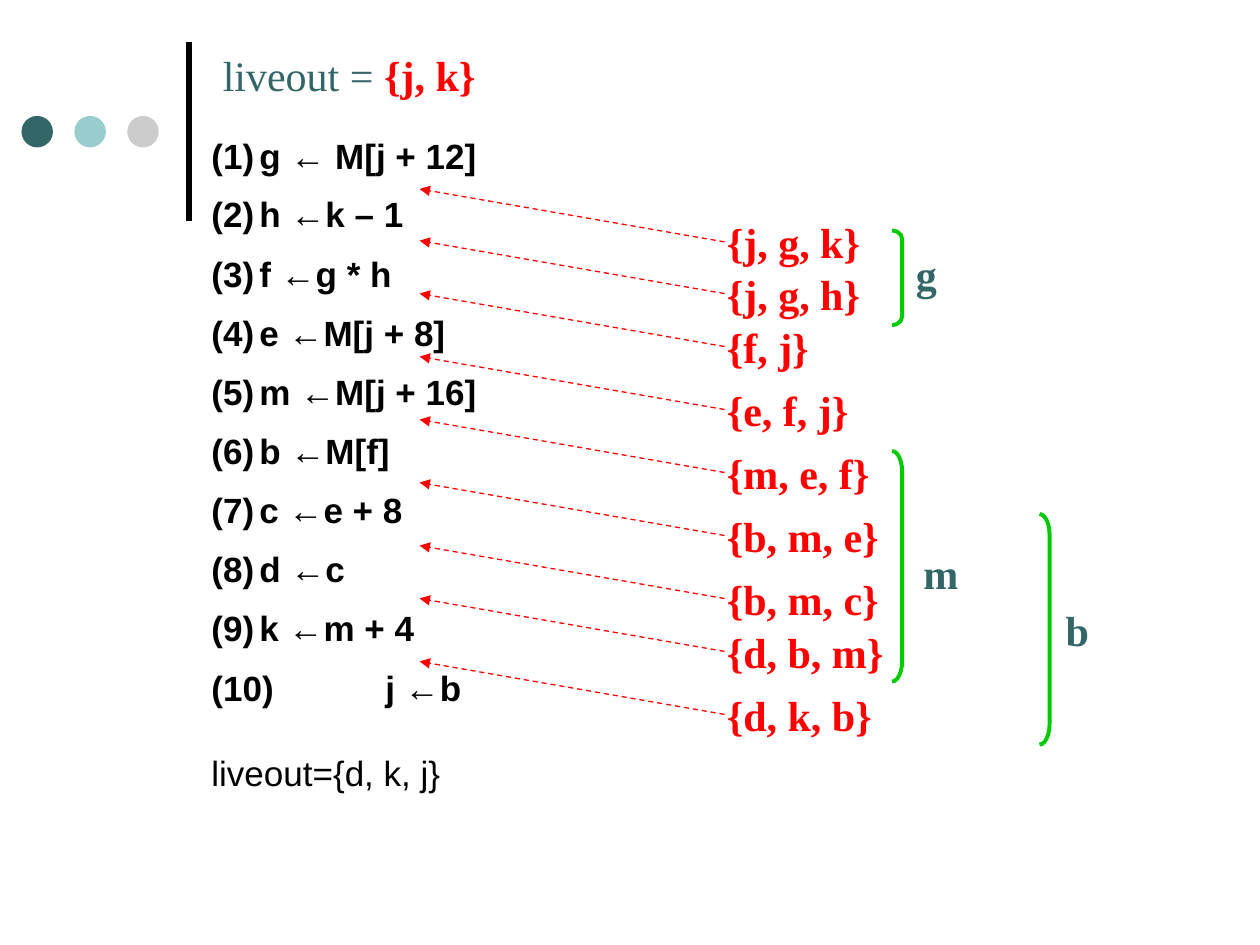
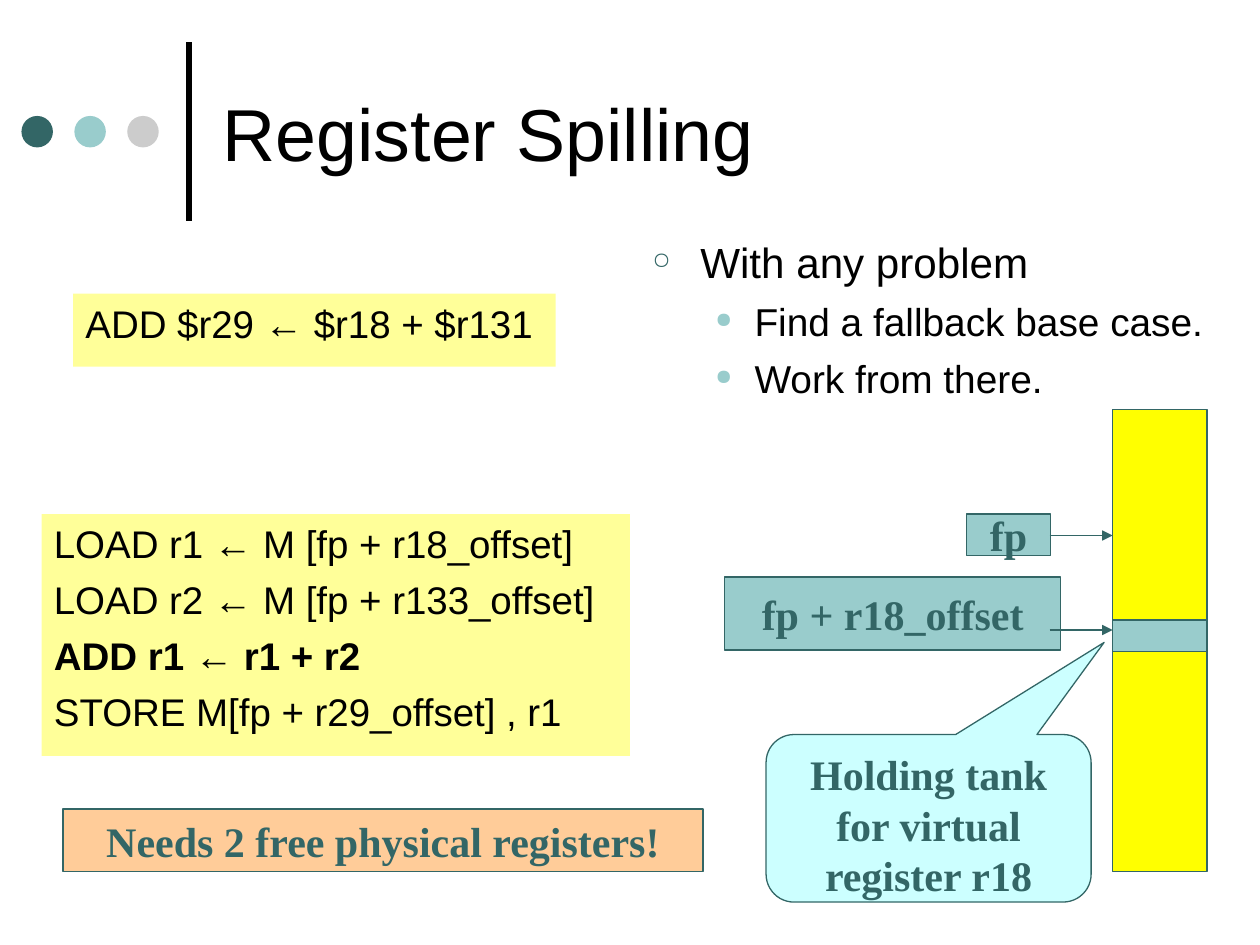
from lxml import etree
from pptx import Presentation
from pptx.dml.color import RGBColor
from pptx.enum import dml, shapes, text
from pptx.oxml import ns
from pptx.util import Inches, Pt

COLORS = {
    "black": "000000", "teal": "336666", "aqua": "99CCCC", "gray": "CCCCCC",
    "red": "FF0000", "green": "00CC00", "cream": "FFFF99", "yellow": "FFFF00",
    "ice": "CCFFFF", "peach": "FFCC99",
}
RGB = {name: RGBColor.from_string(value) for name, value in COLORS.items()}
SANS, SERIF = "Arial", "Times New Roman"
HANG = 0.38


def write(shape, lines, size, color="black", font=SANS, bold=False, wrap=True,
          align=text.PP_ALIGN.LEFT, anchor=text.MSO_ANCHOR.TOP,
          spacing=None, before=0, hanging=0):
    """Fill a shape with one paragraph per line, all in one style."""
    frame = shape.text_frame
    frame.word_wrap = wrap
    frame.vertical_anchor = anchor
    for number, line in enumerate(lines):
        paragraph = frame.add_paragraph() if number else frame.paragraphs[0]
        paragraph.add_run().text = line
        paragraph.alignment = align
        if spacing:
            paragraph.line_spacing = spacing
        if before and number:
            paragraph.space_before = Pt(before)
        properties = paragraph._p.get_or_add_pPr()
        if hanging:
            properties.set("marL", str(Inches(hanging)))
            properties.set("indent", str(-Inches(hanging)))
        paragraph.font.size = Pt(size)
        paragraph.font.name = font
        paragraph.font.bold = bold
        paragraph.font.color.rgb = RGB[color]
    return frame.paragraphs


def draw_line(slide, start, end, color, width, arrow=False, dashed=False):
    line = slide.shapes.add_connector(
        shapes.MSO_CONNECTOR.STRAIGHT, *[Inches(value) for value in start + end])
    line.line.color.rgb = RGB[color]
    line.line.width = Pt(width)
    if dashed:
        line.line.dash_style = dml.MSO_LINE.DASH
    if arrow:
        etree.SubElement(line.line._get_or_add_ln(), ns.qn("a:tailEnd"), type="triangle")
    etree.SubElement(line._element.spPr, ns.qn("a:effectLst"))


presentation = Presentation()
presentation.slide_width = Inches(10)
presentation.slide_height = Inches(7.5)
blank = presentation.slide_layouts[6]
liveness, spilling = [presentation.slides.add_slide(blank) for _ in range(2)]

# Shared decoration
for slide in (liveness, spilling):
    draw_line(slide, (1.5, 1.75), (1.5, 0.33), "black", 3)
    for number, color in enumerate(("teal", "aqua", "gray")):
        dot = slide.shapes.add_shape(
            shapes.MSO_SHAPE.OVAL, Inches(0.17 + 0.42 * number), Inches(0.92),
            Inches(0.25), Inches(0.25))
        dot.shadow.inherit = False
        dot.fill.solid()
        dot.fill.fore_color.rgb = RGB[color]
        dot.line.fill.background()

# Slide 1: instructions with their live sets
instructions = [
    "g ← M[j + 12]", "h ←k – 1", "f ←g * h", "e ←M[j + 8]", "m ←M[j + 16]",
    "b ←M[f]", "c ←e + 8", "d ←c", "k ←m + 4", "j ←b",
]
lines = [f"({number})\t{code}" for number, code in enumerate(instructions, 1)]
listing = liveness.shapes.add_textbox(Inches(1.58), Inches(1.08), Inches(4.27), Inches(5.5))
paragraphs = write(listing, lines + ["liveout={d, k, j}"], 20, bold=True,
                   spacing=1.2, before=5, hanging=HANG)
paragraphs[0].line_spacing = paragraphs[-1].line_spacing = 0.8
paragraphs[-1].space_before = Pt(29.5)
paragraphs[-1].font.bold = False
# The two-digit number overruns the usual indent, so its code starts an inch further on
last_instruction = paragraphs[-2]._p.pPr
last_instruction.set("marL", str(Inches(HANG + 1)))
last_instruction.set("indent", str(-Inches(HANG + 1)))

live_sets = [
    ("{j, g, k}", 1.75), ("{j, g, h}", 2.16), ("{f, j}", 2.58),
    ("{e, f, j}", 3.08), ("{m, e, f}", 3.58), ("{b, m, e}", 4.08),
    ("{b, m, c}", 4.58), ("{d, b, m}", 5), ("{d, k, b}", 5.5),
]
for live_set, top in live_sets:
    label = liveness.shapes.add_textbox(Inches(5.67), Inches(top), Inches(1.6), Inches(0.42))
    write(label, [live_set], 24, "red", SERIF, bold=True, spacing=0.8)
    draw_line(liveness, (5.75, top + 0.17), (3.33, top - 0.25), "red", 0.75,
              arrow=True, dashed=True)

heading = liveness.shapes.add_textbox(Inches(1.67), Inches(0.34), Inches(2.5), Inches(0.5))
paragraph = write(heading, ["liveout = "], 24, "teal", SERIF)[0]
run = paragraph.add_run()
run.text = "{j, k}"
run.font.bold = True
run.font.color.rgb = RGB["red"]

# Live ranges: variable, bracket left, top, height, then label left and top
live_ranges = [
    ("m", 7.08, 3.58, 1.83, 7.23, 4.3),
    ("g", 7.08, 1.83, 0.75, 7.17, 1.92),
    ("b", 8.25, 4.08, 1.83, 8.36, 4.75),
]
for variable, left, top, height, label_left, label_top in live_ranges:
    bracket = liveness.shapes.add_shape(
        shapes.MSO_SHAPE.RIGHT_BRACKET, Inches(left), Inches(top), Inches(0.08), Inches(height))
    bracket.adjustments[0] = 0.09 * height / 0.08
    bracket.shadow.inherit = False
    bracket.fill.background()
    bracket.line.color.rgb = RGB["green"]
    bracket.line.width = Pt(2.25)
    label = liveness.shapes.add_textbox(
        Inches(label_left), Inches(label_top), Inches(0.6), Inches(0.5))
    write(label, [variable], 24, "teal", SERIF, bold=True)

# Slide 2: register spilling
title = spilling.shapes.add_textbox(Inches(1.67), Inches(0.21), Inches(7.67), Inches(1.67))
write(title, ["Register Spilling"], 42, anchor=text.MSO_ANCHOR.MIDDLE)

code_boxes = [
    ((0.58, 2.33, 3.83, 0.58), ["ADD $r29 ← $r18 + $r131"]),
    ((0.33, 4.08, 4.67, 1.92), [
        "LOAD r1 ← M [fp + r18_offset]", "LOAD r2 ← M [fp + r133_offset]",
        "ADD r1 ← r1 + r2", "STORE M[fp + r29_offset] , r1"]),
]
for place, code in code_boxes:
    box = spilling.shapes.add_textbox(*[Inches(value) for value in place])
    box.fill.solid()
    box.fill.fore_color.rgb = RGB["cream"]
    paragraphs = write(box, code, 22, before=5.5, hanging=HANG)
paragraphs[2].font.bold = True

advice = spilling.shapes.add_textbox(Inches(5.08), Inches(1.83), Inches(4.75), Inches(1.75))
paragraphs = write(
    advice, ["With any problem", "Find a fallback base case.", "Work from there."],
    22.2, before=6)
paragraphs[0].font.size = Pt(24.1)
for number, paragraph in enumerate(paragraphs):
    margin, indent, color, mark = (
        (0.81, 0.31, "aqua", "●") if number else (HANG, HANG, "teal", "○"))
    paragraph.level = min(number, 1)
    properties = paragraph._p.pPr
    properties.set("marL", str(Inches(margin)))
    properties.set("indent", str(-Inches(indent)))
    bullet_color = etree.Element(ns.qn("a:buClr"))
    etree.SubElement(bullet_color, ns.qn("a:srgbClr"), val=COLORS[color])
    bullet_size = etree.Element(ns.qn("a:buSzPct"), val="55000")
    bullet = etree.Element(ns.qn("a:buChar"), char=mark)
    for element in (bullet_color, bullet_size, bullet):
        properties.find(ns.qn("a:defRPr")).addprevious(element)

# Stack memory, its pointers and the notes
RECTANGLE = shapes.MSO_SHAPE.RECTANGLE
CALLOUT = shapes.MSO_SHAPE.ROUNDED_RECTANGULAR_CALLOUT
blocks = [
    (RECTANGLE, (8.83, 3.25, 0.75, 3.67), "yellow", []),
    (RECTANGLE, (7.67, 4.08, 0.67, 0.33), "aqua", ["fp"]),
    (RECTANGLE, (5.75, 4.58, 2.67, 0.58), "aqua", ["fp + r18_offset"]),
    (RECTANGLE, (8.83, 4.92, 0.75, 0.25), "aqua", []),
    (CALLOUT, (6.08, 5.83, 2.58, 1.33), "ice", ["Holding tank", "for virtual register r18"]),
    (RECTANGLE, (0.5, 6.42, 5.08, 0.5), "peach", ["Needs 2 free physical registers!"]),
]
for kind, place, color, words in blocks:
    block = spilling.shapes.add_shape(kind, *[Inches(value) for value in place])
    block.shadow.inherit = False
    block.fill.solid()
    block.fill.fore_color.rgb = RGB[color]
    block.line.color.rgb = RGB["teal"]
    block.line.width = Pt(0.75)
    is_callout = kind == CALLOUT
    if is_callout:
        block.adjustments[0], block.adjustments[1] = 0.54, -1.05
    write(block, words, 24, "teal", SERIF, bold=True, wrap=is_callout,
          align=text.PP_ALIGN.CENTER,
          anchor=text.MSO_ANCHOR.TOP if is_callout else text.MSO_ANCHOR.MIDDLE)
for height in (4.25, 5):
    draw_line(spilling, (8.33, height), (8.83, height), "teal", 0.75, arrow=True)

presentation.save("out.pptx")
